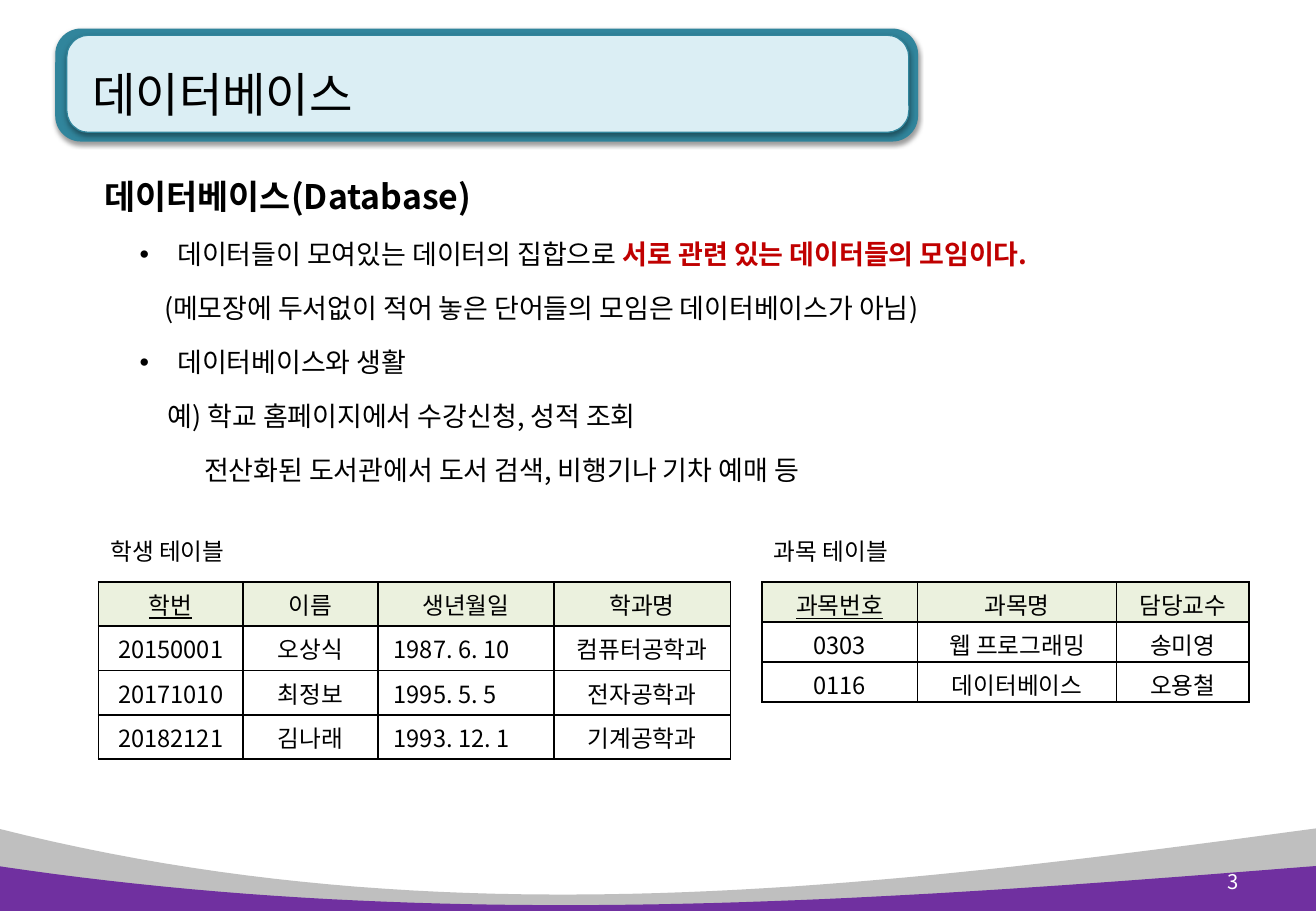
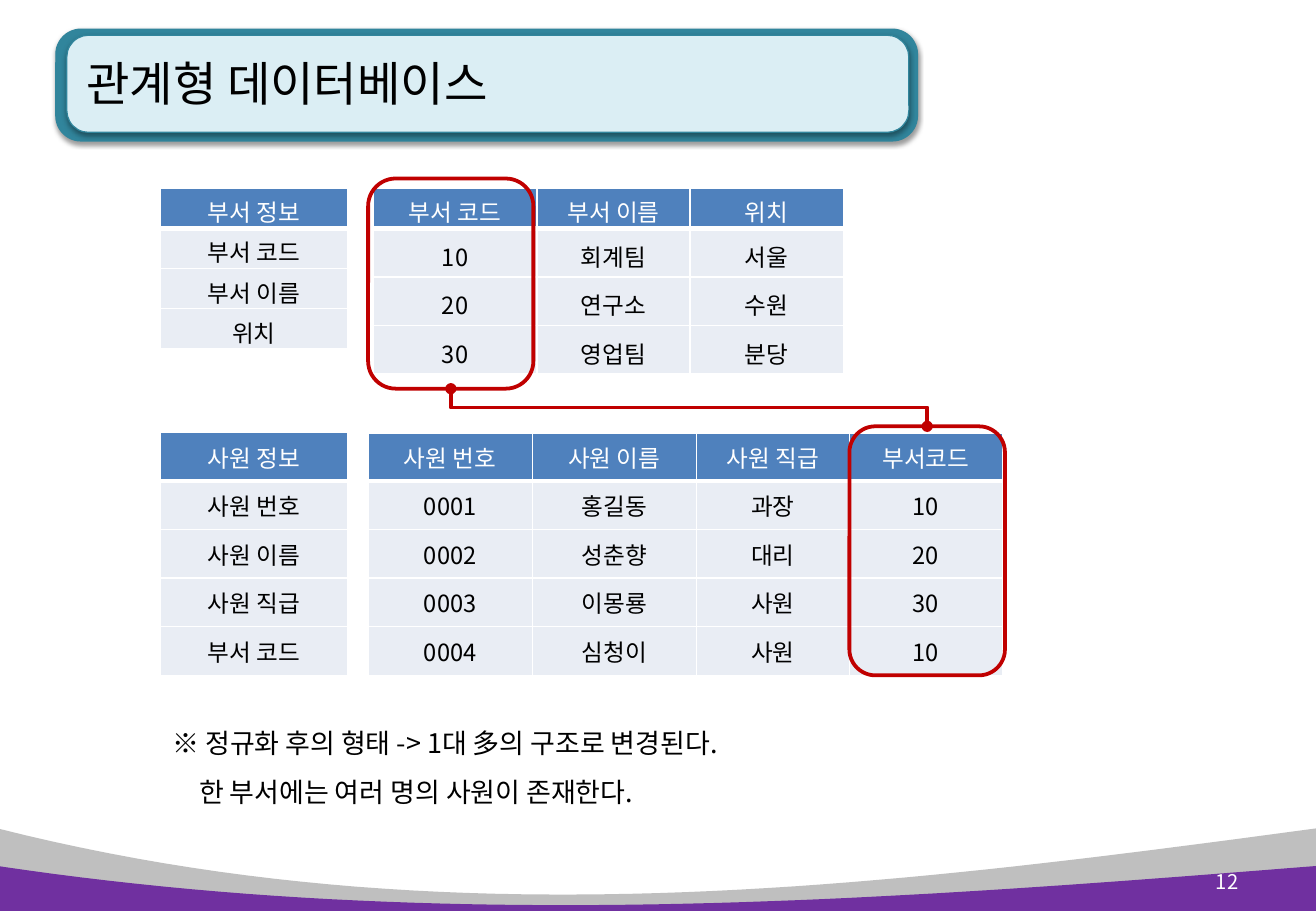
from dataclasses import dataclass

from lxml import etree
from pptx import Presentation
from pptx.dml.color import RGBColor
from pptx.enum.shapes import MSO_CONNECTOR, MSO_SHAPE
from pptx.enum.text import MSO_ANCHOR, MSO_AUTO_SIZE, PP_ALIGN
from pptx.oxml.ns import qn
from pptx.util import Inches, Pt

ROUNDED = MSO_SHAPE.ROUNDED_RECTANGLE
ELBOW = MSO_CONNECTOR.ELBOW
MIDDLE = MSO_ANCHOR.MIDDLE
NO_FIT = MSO_AUTO_SIZE.NONE
LEFT, CENTER, RIGHT = PP_ALIGN.LEFT, PP_ALIGN.CENTER, PP_ALIGN.RIGHT

FONT = "Noto Sans CJK KR"
COLORS = {
    "black": "000000",
    "white": "FFFFFF",
    "gray": "BFBFBF",
    "purple": "7030A0",
    "teal": "31859C",
    "pale_teal": "DBEEF4",
    "red": "C00000",
    "pale_green": "EBF1DE",
    "blue": "4F81BD",
    "pale_blue": "E9EDF4",
}
PAGE_WIDTH, PAGE_HEIGHT = 10.83, 7.5


@dataclass(frozen=True)
class Box:
    left: float
    top: float
    width: float
    height: float

    def lengths(self) -> tuple:
        return tuple(Inches(n) for n in (self.left, self.top, self.width, self.height))


@dataclass(frozen=True)
class Span:
    text: str
    size: float = 16
    color: str = "black"
    bold: bool = False
    underline: bool = False


@dataclass(frozen=True)
class Line:
    spans: tuple[Span, ...]
    margin: float = 0
    bullet: bool = False
    level: int = 0
    spacing: float | None = None
    align: PP_ALIGN = LEFT


@dataclass(frozen=True)
class TableStyle:
    header_fill: str
    header_text: str
    body_fill: str | None
    border: str
    header_rule: float
    side_inset: float
    top_inset: float
    key_underlined: bool


@dataclass(frozen=True)
class Grid:
    left: float
    top: float
    columns: tuple[float, ...]
    header_height: float
    row_height: float
    rows: tuple[tuple[str, ...], ...]
    style: TableStyle
    bottom_inset: float
    left_column: int | None = None


@dataclass(frozen=True)
class Wave:
    top: float
    controls: tuple[tuple[float, float], tuple[float, float]]
    color: str


RECORDS = TableStyle("pale_green", "black", None, "black", 1, 0.09, 0.04, True)
RELATIONS = TableStyle("blue", "white", "pale_blue", "white", 3, 0.11, 0.05, False)

GRAY_WAVE = Wave(6.82, ((3.65, 7.75), (7.2, 7.31)), "gray")
PURPLE_WAVE = Wave(7.13, ((3.65, 7.68), (7.2, 7.42)), "purple")

BODY_LINES = (
    Line((Span("데이터베이스(Database)", 20, bold=True),), 0.21, spacing=1.5),
    Line((Span("데이터들이 모여있는 데이터의 집합으로 "),
          Span("서로 관련 있는 데이터들의 모임이다.", color="red", bold=True)),
         0.81, True, 1, 1.5),
    Line((Span("(메모장에 두서없이 적어 놓은 단어들의 모임은 데이터베이스가 아님)"),),
         0.7, level=1, spacing=1.5),
    Line((Span("데이터베이스와 생활"),), 0.81, True, 1, 1.5),
    Line((Span("예) 학교 홈페이지에서 수강신청, 성적 조회"),), 0.73, level=1, spacing=1.5),
    Line((Span("전산화된 도서관에서 도서 검색, 비행기나 기차 예매 등"),),
         1.03, level=1, spacing=1.5),
)
NOTE_LINES = (
    Line((Span("※ 정규화 후의 형태 -> 1대 多의 구조로 변경된다."),), spacing=1.5),
    Line((Span("한 부서에는 여러 명의 사원이 존재한다."),), 0.22, spacing=1.5),
)

RECORD_GRIDS = (
    ("학생 테이블", Grid(0.81, 4.79, (1.19, 1.11, 1.45, 1.45), 0.365, 0.365, (
        ("학번", "이름", "생년월일", "학과명"),
        ("20150001", "오상식", "1987. 6. 10", "컴퓨터공학과"),
        ("20171010", "최정보", "1995. 5. 5", "전자공학과"),
        ("20182121", "김나래", "1993. 12. 1", "기계공학과"),
    ), RECORDS, 0.04, 2)),
    ("과목 테이블", Grid(6.27, 4.79, (1.28, 1.64, 1.09), 0.33, 0.33, (
        ("과목번호", "과목명", "담당교수"),
        ("0303", "웹 프로그래밍", "송미영"),
        ("0116", "데이터베이스", "오용철"),
    ), RECORDS, 0)),
)
RELATION_GRIDS = (
    Grid(3.03, 3.57, (1.35, 1.35, 1.26, 1.26), 0.39, 0.4, (
        ("사원 번호", "사원 이름", "사원 직급", "부서코드"),
        ("0001", "홍길동", "과장", "10"),
        ("0002", "성춘향", "대리", "20"),
        ("0003", "이몽룡", "사원", "30"),
        ("0004", "심청이", "사원", "10"),
    ), RELATIONS, 0.05),
    Grid(1.32, 3.56, (1.54,), 0.4, 0.4, (
        ("사원 정보",), ("사원 번호",), ("사원 이름",), ("사원 직급",), ("부서 코드",),
    ), RELATIONS, 0.05),
    Grid(1.32, 1.55, (1.54,), 0.33, 0.33, (
        ("부서 정보",), ("부서 코드",), ("부서 이름",), ("위치",),
    ), RELATIONS, 0),
    Grid(3.07, 1.55, (1.35, 1.26, 1.26), 0.33, 0.4, (
        ("부서 코드", "부서 이름", "위치"),
        ("10", "회계팀", "서울"),
        ("20", "연구소", "수원"),
        ("30", "영업팀", "분당"),
    ), RELATIONS, 0),
)
DEPARTMENT_KEY = Box(3.03, 1.47, 1.36, 1.73)
EMPLOYEE_KEY = Box(6.99, 3.51, 1.28, 2.05)


def rgb(name: str) -> RGBColor:
    return RGBColor.from_string(COLORS[name])


def add_node(parent, tag: str, **attributes):
    return etree.SubElement(parent, qn(tag), attributes)


def write_lines(frame, lines: tuple[Line, ...]) -> None:
    for index, line in enumerate(lines):
        para = frame.paragraphs[0] if index == 0 else frame.add_paragraph()
        para.alignment = line.align
        para.level = line.level
        properties = para._p.get_or_add_pPr()
        properties.set("marL", str(Inches(line.margin)))
        properties.set("indent", str(Inches(-0.31 if line.bullet else 0)))
        if line.bullet:
            add_node(properties, "a:buFont", typeface="Arial")
            add_node(properties, "a:buChar", char="•")
        else:
            add_node(properties, "a:buNone")
        if line.spacing:
            para.line_spacing = line.spacing
        for span in line.spans:
            run = para.add_run()
            run.text = span.text
            font = run.font
            font.size = Pt(span.size)
            font.bold = span.bold
            font.underline = span.underline
            font.color.rgb = rgb(span.color)
            font.name = FONT
            add_node(run._r.get_or_add_rPr(), "a:ea", typeface=FONT)


def fill_placeholder(holder, box: Box, lines: tuple[Line, ...]) -> None:
    holder.left, holder.top, holder.width, holder.height = box.lengths()
    holder.text_frame.auto_size = NO_FIT
    write_lines(holder.text_frame, lines)


def add_text(page, box: Box, lines: tuple[Line, ...], anchor=MSO_ANCHOR.TOP) -> None:
    frame = page.shapes.add_textbox(*box.lengths()).text_frame
    frame.word_wrap = True
    frame.vertical_anchor = anchor
    write_lines(frame, lines)


def add_wave(page, wave: Wave):
    start, end = (-0.02, wave.top), (PAGE_WIDTH, wave.top)
    curve = (start, *wave.controls, end)
    steps = 48
    points = []
    for step in range(steps + 1):
        t = step / steps
        weights = ((1 - t) ** 3, 3 * t * (1 - t) ** 2, 3 * t * t * (1 - t), t ** 3)
        points.append(tuple(
            Inches(sum(w * point[axis] for w, point in zip(weights, curve)))
            for axis in (0, 1)))
    points += [(Inches(end[0]), Inches(PAGE_HEIGHT)), (Inches(start[0]), Inches(PAGE_HEIGHT))]
    builder = page.shapes.build_freeform(*points[0], scale=1.0)
    builder.add_line_segments(points[1:], close=True)
    shape = builder.convert_to_shape()
    shape.shadow.inherit = False
    shape.fill.solid()
    shape.fill.fore_color.rgb = rgb(wave.color)
    shape.line.fill.background()
    return shape


def add_panel(page, box: Box, fill: str):
    panel = page.shapes.add_shape(ROUNDED, *box.lengths())
    panel.adjustments[0] = 0.225
    panel.fill.solid()
    panel.fill.fore_color.rgb = rgb(fill)
    panel.line.color.rgb = rgb("teal")
    panel.line.width = Pt(0.75)
    panel.shadow.inherit = False
    effects = panel.element.spPr.find(qn("a:effectLst"))
    shadow = add_node(effects, "a:outerShdw", blurRad=str(Pt(3.1)), dist=str(Pt(1.6)),
                      dir="5400000", rotWithShape="0")
    color = add_node(shadow, "a:srgbClr", val=COLORS["black"])
    add_node(color, "a:alpha", val="38000")
    return panel


def build_master(deck, page) -> None:
    decorations = (
        add_wave(page, GRAY_WAVE),
        add_panel(page, Box(0.46, 0.24, 7.09, 0.92), "teal"),
        add_panel(page, Box(0.55, 0.29, 6.93, 0.8), "pale_teal"),
        add_wave(page, PURPLE_WAVE),
    )
    tree = deck.slide_master.element.cSld.spTree
    for index, shape in enumerate(decorations):
        shape.element.xpath(".//p:cNvPr")[0].set("id", str(100 + index))
        tree.insert(2 + index, shape.element)


def add_heading(page, text: str, box: Box, margin: float, number: int) -> None:
    page.shapes.title.text_frame.vertical_anchor = MIDDLE
    fill_placeholder(page.shapes.title, box, (Line((Span(text, 28),), margin),))
    label = Line((Span(str(number), 12, "white"),), align=RIGHT)
    add_text(page, Box(9.68, 7.06, 0.61, 0.4), (label,), MIDDLE)


def format_cell(cell, text: str, row: int, column: int, grid: Grid) -> None:
    style = grid.style
    header = row == 0
    left_aligned = not header and column == grid.left_column
    cell.vertical_anchor = MIDDLE
    cell.margin_left = Inches(0.13 if left_aligned else style.side_inset)
    cell.margin_right = Inches(style.side_inset)
    cell.margin_top = Inches(style.top_inset)
    cell.margin_bottom = Inches(grid.bottom_inset)
    properties = cell._tc.get_or_add_tcPr()
    for side in ("L", "R", "T", "B"):
        width = style.header_rule if header and side == "B" else 1
        border = add_node(properties, f"a:ln{side}", w=str(Pt(width)))
        add_node(add_node(border, "a:solidFill"), "a:srgbClr", val=COLORS[style.border])
    fill = style.header_fill if header else style.body_fill
    if fill:
        cell.fill.solid()
        cell.fill.fore_color.rgb = rgb(fill)
    else:
        cell.fill.background()
    span = Span(text, 14, style.header_text if header else "black",
                underline=style.key_underlined and header and column == 0)
    write_lines(cell.text_frame, (Line((span,), align=LEFT if left_aligned else CENTER),))


def add_grid(page, grid: Grid) -> None:
    count = len(grid.rows)
    height = grid.header_height + grid.row_height * (count - 1)
    box = Box(grid.left, grid.top, sum(grid.columns), height)
    table = page.shapes.add_table(count, len(grid.columns), *box.lengths()).table
    table.first_row = table.horz_banding = False
    for column, width in zip(table.columns, grid.columns):
        column.width = Inches(width)
    for row, texts in enumerate(grid.rows):
        table.rows[row].height = Inches(grid.row_height if row else grid.header_height)
        for column, text in enumerate(texts):
            format_cell(table.cell(row, column), text, row, column, grid)


def add_key_outline(page, box: Box) -> None:
    outline = page.shapes.add_shape(ROUNDED, *box.lengths())
    outline.shadow.inherit = False
    outline.fill.background()
    outline.line.color.rgb = rgb("red")
    outline.line.width = Pt(2.25)


def add_key_link(page, upper: Box, lower: Box) -> None:
    start_x, start_y = upper.left + upper.width / 2, upper.top + upper.height
    end_x, end_y = lower.left + lower.width / 2, lower.top
    center_x, center_y = (start_x + end_x) / 2, (start_y + end_y) / 2
    half_width, half_height = (end_y - start_y) / 2, (end_x - start_x) / 2
    link = page.shapes.add_connector(
        ELBOW, Inches(center_x - half_width), Inches(center_y - half_height),
        Inches(center_x + half_width), Inches(center_y + half_height))
    link.line.color.rgb = rgb("red")
    link.line.width = Pt(2.25)
    properties = link.element.spPr
    frame = properties.find(qn("a:xfrm"))
    frame.set("rot", "16200000")
    frame.set("flipH", "1")
    stroke = properties.find(qn("a:ln"))
    for end in ("a:headEnd", "a:tailEnd"):
        add_node(stroke, end, type="oval")
    add_node(properties, "a:effectLst")


def build_database_page(page) -> None:
    add_heading(page, "데이터베이스", Box(0.46, 0.3, 3.85, 0.94), 0.2, 3)
    fill_placeholder(page.placeholders[1], Box(0.55, 1.23, 10.15, 2.99), BODY_LINES)
    for caption, grid in RECORD_GRIDS:
        add_grid(page, grid)
        add_text(page, Box(grid.left, 4.37, 1.62, 0.34), (Line((Span(caption, 14),)),))


def build_relational_page(page) -> None:
    add_heading(page, "관계형 데이터베이스", Box(0.3, 0.21, 4.89, 0.94), 0.31, 12)
    for grid in RELATION_GRIDS:
        add_grid(page, grid)
    add_text(page, Box(1.32, 5.8, 7.74, 0.91), NOTE_LINES)
    for key in (DEPARTMENT_KEY, EMPLOYEE_KEY):
        add_key_outline(page, key)
    add_key_link(page, DEPARTMENT_KEY, EMPLOYEE_KEY)


def main() -> None:
    deck = Presentation()
    deck.slide_width, deck.slide_height = Inches(PAGE_WIDTH), Inches(PAGE_HEIGHT)
    database_page = deck.slides.add_slide(deck.slide_layouts[1])
    build_master(deck, database_page)
    build_database_page(database_page)
    build_relational_page(deck.slides.add_slide(deck.slide_layouts[5]))
    deck.save("out.pptx")


if __name__ == "__main__":
    main()
